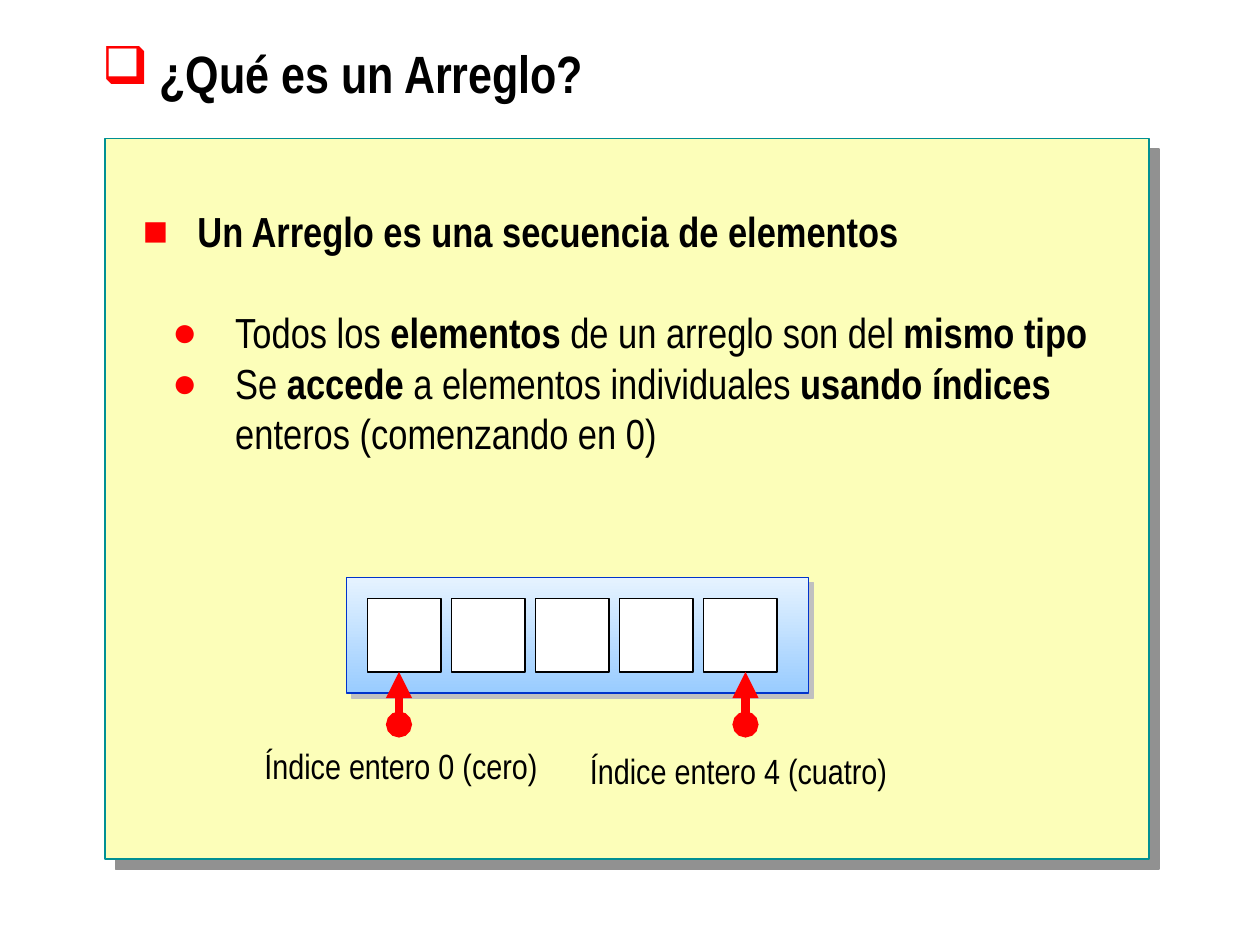
"""Builds the slide that explains what an array is."""
from lxml import etree
from pptx import Presentation, util as u
from pptx.dml.color import RGBColor
from pptx.enum import shapes, text
from pptx.oxml.ns import qn

PX = u.Inches(1) // 120
FONT = "Arial Narrow"
BLACK = RGBColor(0, 0, 0)
WHITE = RGBColor(255, 255, 255)
RED = RGBColor(255, 0, 0)
CREAM = RGBColor(0xFC, 0xFE, 0xB9)
TEAL = RGBColor(0x00, 0x90, 0x94)
BLUE = RGBColor(0x00, 0x33, 0xCC)
SKY = (RGBColor(0xE6, 0xF3, 0xFF), RGBColor(0x99, 0xCC, 0xFF))
GREY = RGBColor(0x91, 0x91, 0x91)
SILVER = RGBColor(0xC0, 0xC0, 0xC0)

TITLE = "¿Qué es un Arreglo?"
HEADING = [("Un Arreglo es una secuencia de elementos", True)]
POINTS = [
    [("Todos los ", False), ("elementos", True),
     (" de un arreglo son del ", False), ("mismo tipo", True)],
    [("Se ", False), ("accede", True), (" a elementos individuales ", False),
     ("usando índices ", True), ("enteros (comenzando en 0)", False)],
]
INDICES = [
    ("Índice entero 0 (cero)", (240, 703, 290, 53), 380),
    ("Índice entero 4 (cuatro)", (550, 708, 332, 53), 710),
]
CELL_COUNT, CELL_LEFT, CELL_TOP, CELL_SIZE, CELL_STEP = 5, 350, 570, 70, 80
ARROW_TIP, ARROW_BASE = CELL_TOP + CELL_SIZE, 690


def px(*lengths):
    return [length * PX for length in lengths]


def place(placeholder, *box):
    (placeholder.left, placeholder.top,
     placeholder.width, placeholder.height) = px(*box)
    placeholder.text_frame.auto_size = text.MSO_AUTO_SIZE.NONE


def add_bullet(paragraph, char, margin, indent):
    props = paragraph._p.get_or_add_pPr()
    props.set("marL", str(margin * PX))
    props.set("indent", str(indent * PX))
    colour = etree.SubElement(props, qn("a:buClr"))
    etree.SubElement(colour, qn("a:srgbClr"), val=str(RED))
    etree.SubElement(props, qn("a:buChar"), char=char)


def style(paragraph, size):
    paragraph.alignment = text.PP_ALIGN.LEFT
    paragraph.font.name = FONT
    paragraph.font.size = u.Pt(size)
    paragraph.font.color.rgb = BLACK


def add_rect(box, line, weight):
    rect = slide.shapes.add_shape(shapes.MSO_SHAPE.RECTANGLE, *px(*box))
    rect.shadow.inherit = False
    rect.line.color.rgb = line
    rect.line.width = u.Pt(weight)
    return rect


def fill_solid(rect, colour):
    rect.fill.solid()
    rect.fill.fore_color.rgb = colour


def cast_shadow(rect, colour, distance):
    effects = rect._element.spPr.find(qn("a:effectLst"))
    shadow = etree.SubElement(
        effects, qn("a:outerShdw"), dist=str(u.Pt(distance)),
        dir=str(45 * 60000), algn="ctr", rotWithShape="0")
    etree.SubElement(shadow, qn("a:srgbClr"), val=str(colour))


def add_arrow(x):
    arrow = slide.shapes.add_connector(
        shapes.MSO_CONNECTOR.STRAIGHT, *px(x, ARROW_BASE, x, ARROW_TIP))
    arrow.line.color.rgb = RED
    arrow.line.width = u.Pt(5)
    line = arrow.line._get_or_add_ln()
    etree.SubElement(line, qn("a:headEnd"), type="oval")
    etree.SubElement(line, qn("a:tailEnd"), type="triangle")
    etree.SubElement(arrow._element.spPr, qn("a:effectLst"))


deck = Presentation()
deck.slide_width, deck.slide_height = px(1200, 900)
slide = deck.slides.add_slide(deck.slide_layouts[1])
title, body = slide.placeholders

panel = add_rect((100, 132, 994, 686), TEAL, 1)
fill_solid(panel, CREAM)
cast_shadow(panel, GREY, 8.5)
slide.shapes._spTree.insert(2, panel._element)

place(title, 85, 20, 1075, 110)
title.text_frame.vertical_anchor = text.MSO_ANCHOR.MIDDLE
question = title.text_frame.paragraphs[0]
question.text = TITLE
add_bullet(question, "❑", 55, -55)
style(question, 30)
question.font.bold = True
question.line_spacing = 0.8

place(body, 100, 190, 990, 563)
for number, runs in enumerate([HEADING, *POINTS]):
    frame = body.text_frame
    paragraph = frame.add_paragraph() if number else frame.paragraphs[0]
    paragraph.level = 1 if number else 0
    add_bullet(paragraph, *(("●", 112, -60) if number else ("■", 76, -52)))
    style(paragraph, 24)
    paragraph.space_before = u.Pt(29 if number == 1 else 0)
    for words, bold in runs:
        run = paragraph.add_run()
        run.text = words
        run.font.bold = bold

array = add_rect((330, 550, 440, 110), BLUE, 0.75)
array.fill.gradient()
array.fill.gradient_angle = 270
for stop, colour in zip(array.fill.gradient_stops, SKY):
    stop.color.rgb = colour
cast_shadow(array, SILVER, 4.2)

for index in range(CELL_COUNT):
    left = CELL_LEFT + index * CELL_STEP
    cell = add_rect((left, CELL_TOP, CELL_SIZE, CELL_SIZE), BLACK, 0.75)
    fill_solid(cell, WHITE)

for caption, box, arrow_x in INDICES:
    label = slide.shapes.add_textbox(*px(*box)).text_frame
    label.word_wrap = True
    label.auto_size = text.MSO_AUTO_SIZE.SHAPE_TO_FIT_TEXT
    label.text = caption
    style(label.paragraphs[0], 20)
    add_arrow(arrow_x)

deck.save("out.pptx")
